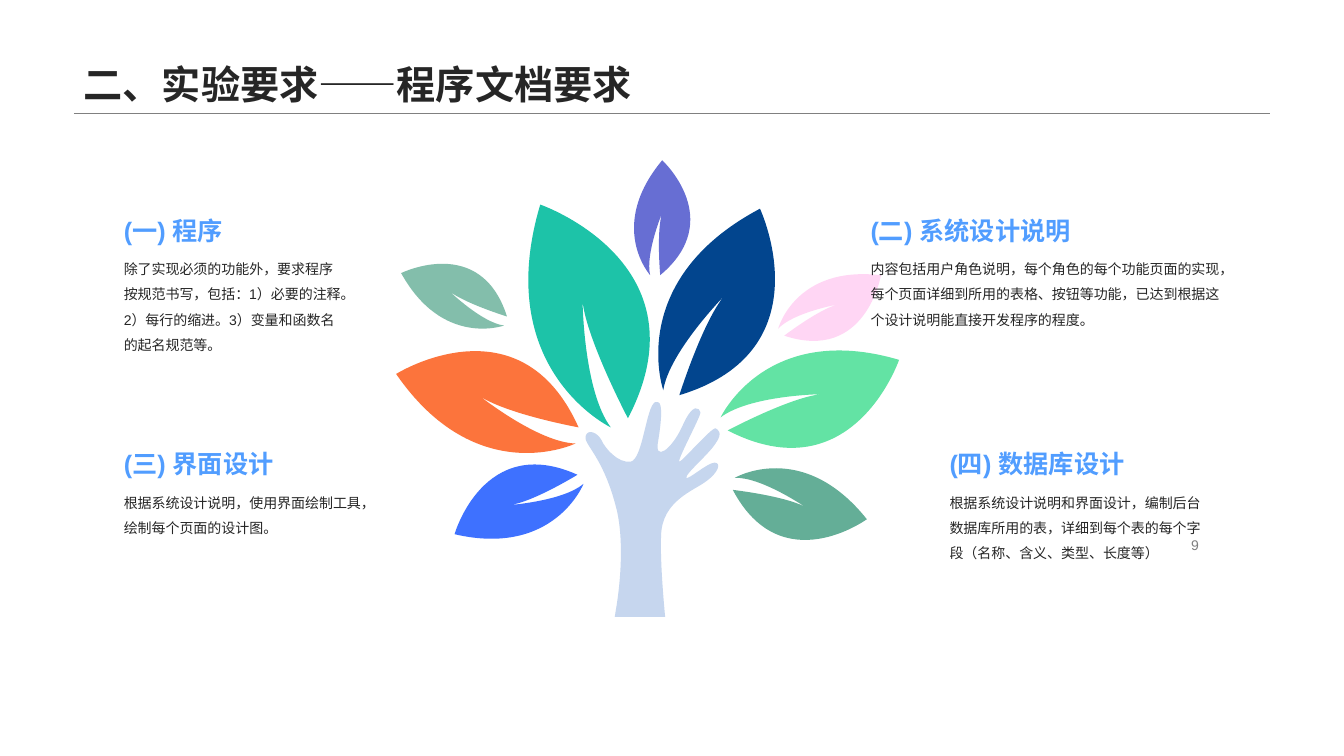
from math import cos, radians, sin

from lxml import etree
from pptx import Presentation
from pptx.dml.color import RGBColor
from pptx.enum import shapes, text
from pptx.oxml import ns
from pptx.util import Cm, Pt

INCH = 2.54
FONT = "Arial"
COLORS = {
    "ink": "262626", "gray": "808080", "head": "519DFF", "hand": "C6D6EE",
    "orange": "FC743C", "teal": "1DC3A8", "navy": "02458E", "mint": "63E3A4",
    "sage": "64AE97", "blue": "3E71FF", "violet": "676ED3", "pink": "FF33CC",
}

HAND_BOX = (5.81, 3.99, 1.33, 2.14)
HAND = [
    [(6.53, 3.99)],
    [(6.58, 4), (6.56, 4.2), (6.53, 4.38)],
    [(6.49, 4.58), (6.66, 4.47), (6.77, 4.23)],
    [(6.88, 3.98), (6.94, 4.05), (6.95, 4.09)],
    [(6.96, 4.12), (6.72, 4.56), (6.74, 4.58)],
    [(6.75, 4.6), (7.06, 4.24), (7.1, 4.25)],
    [(7.12, 4.26), (7.18, 4.29), (7.1, 4.4)],
    [(7.03, 4.51), (6.8, 4.7), (6.81, 4.74)],
    [(6.82, 4.77), (7.02, 4.59), (7.09, 4.59)],
    [(7.16, 4.59), (7.13, 4.69), (7, 4.78)],
    [(6.88, 4.87), (6.57, 4.97), (6.56, 5.31)],
    [(6.55, 5.54), (6.58, 5.91), (6.6, 6.12)],
    [(6.1, 6.12)],
    [(6.11, 6.06)],
    [(6.16, 5.77), (6.19, 5.36), (6.12, 5.06)],
    [(5.99, 4.53), (5.79, 4.41), (5.81, 4.33)],
    [(5.83, 4.25), (5.93, 4.29), (5.97, 4.37)],
    [(6, 4.44), (6.13, 4.6), (6.26, 4.58)],
    [(6.38, 4.55), (6.41, 4.04), (6.5, 3.99)],
    [(6.51, 3.99), (6.52, 3.99), (6.53, 3.99)],
]

LEAVES = [
    ("orange", 100, (3.98, 2.95, 1.88, 1.88), 31.4,
     [(5.71, 4.4), (4.73, 4.87), (3.93, 3.71), (5.16, 2.94),
      (5.74, 4.24), (5.03, 4.11), (4.76, 3.93), (5.34, 4.39)]),
    ("teal", 100, (4.8, 1.96, 2.28, 2.28), 82.7,
     [(6.06, 4.24), (4.87, 3.67), (5.36, 2.03), (7.03, 2.61),
      (6.23, 4.15), (5.82, 3.37), (5.78, 2.99), (5.79, 3.88)]),
    ("navy", 100, (6.21, 2.1, 2.01, 2.01), 128.3,
     [(6.58, 3.87), (6.2, 2.78), (7.54, 2.07), (8.2, 3.48),
      (6.74, 3.92), (6.97, 3.19), (7.19, 2.93), (6.64, 3.49)]),
    ("mint", 100, (7.15, 3.13, 1.83, 1.82), 172.4,
     [(7.15, 4.14), (7.6, 3.18), (8.92, 3.57), (8.46, 4.91),
      (7.22, 4.27), (7.84, 3.94), (8.15, 3.91), (7.44, 3.92)]),
    ("sage", 100, (7.2, 4.4, 1.36, 1.35), 207.3,
     [(7.29, 4.74), (7.96, 4.35), (8.6, 5.15), (7.75, 5.77),
      (7.27, 4.86), (7.79, 4.92), (7.99, 5.03), (7.55, 4.73)]),
    ("blue", 100, (4.45, 4.24, 1.36, 1.35), 349.2,
     [(5.79, 4.8), (5.5, 5.53), (4.51, 5.3), (4.8, 4.29),
      (5.73, 4.71), (5.29, 4.98), (5.06, 5.01), (5.59, 4.97)]),
    ("sage", 80, (4, 2.31, 1.13, 1.13), 37.4,
     [(5, 3.23), (4.39, 3.45), (3.98, 2.71), (4.77, 2.32),
      (5.03, 3.14), (4.61, 3.01), (4.46, 2.89), (4.78, 3.2)]),
    ("violet", 100, (6.06, 1.63, 1.13, 1.13), 105.9,
     [(6.45, 2.73), (6.02, 2.25), (6.57, 1.59), (7.21, 2.18),
      (6.55, 2.73), (6.51, 2.29), (6.57, 2.11), (6.4, 2.52)]),
    ("pink", 20, (7.7, 2.54, 1.13, 1.13), 162.9,
     [(7.72, 3.26), (7.89, 2.63), (8.74, 2.73), (8.59, 3.6),
      (7.78, 3.33), (8.12, 3.07), (8.31, 3.02), (7.87, 3.1)]),
]

NOTES = [
    (2.87, 4.99, 6.1, 3.89, "(一) 程序",
     "除了实现必须的功能外，要求程序按规范书写，包括：1）必要的注释。2）每行的缩进。3）变量和函数名的起名规范等。"),
    (2.87, 10.88, 6.9, 3.76, "(三) 界面设计",
     "根据系统设计说明，使用界面绘制工具，绘制每个页面的设计图。"),
    (21.69, 4.99, 9.47, 2.34, "(二) 系统设计说明",
     "内容包括用户角色说明，每个角色的每个功能页面的实现，每个页面详细到所用的表格、按钮等功能，已达到根据这个设计说明能直接开发程序的程度。"),
    (23.68, 10.88, 6.9, 3.76, "(四) 数据库设计",
     "根据系统设计说明和界面设计，编制后台数据库所用的表，详细到每个表的每个字段（名称、含义、类型、长度等）"),
]


def paint(name):
    return RGBColor.from_string(COLORS[name])


def add_text(parent, box, words, size, color, bold=False, space=1.0,
             anchor=text.MSO_ANCHOR.TOP, align=text.PP_ALIGN.LEFT):
    frame = parent.add_textbox(*(Cm(v) for v in box)).text_frame
    frame.word_wrap = True
    frame.vertical_anchor = anchor
    para = frame.paragraphs[0]
    para.text = words
    para.alignment = align
    para.line_spacing = space
    font = para.font
    font.name = FONT
    font.size = Pt(size)
    font.bold = bold
    font.color.rgb = paint(color)


def add_rule(parent, left, right, y):
    rule = parent.add_connector(shapes.MSO_CONNECTOR.STRAIGHT,
                                Cm(left), Cm(y), Cm(right), Cm(y))
    rule.line.color.rgb = paint("gray")
    rule.line.width = Pt(0.25)
    etree.SubElement(rule._element.spPr, ns.qn("a:effectLst"))


def turn(point, box, angle):
    mid_x, mid_y = box[0] + box[2] / 2, box[1] + box[3] / 2
    x, y, a = point[0] - mid_x, point[1] - mid_y, radians(angle)
    return (Cm(INCH * (mid_x + x * cos(a) + y * sin(a))),
            Cm(INCH * (mid_y - x * sin(a) + y * cos(a))))


def bend(shape, parts, box):
    outline = shape._element.spPr.find(".//" + ns.qn("a:path"))
    shift_x, shift_y = shape.left - box[0], shape.top - box[1]
    for dot in outline.iter(ns.qn("a:pt")):
        dot.set("x", str(int(dot.get("x")) + shift_x))
        dot.set("y", str(int(dot.get("y")) + shift_y))
    lines = iter(outline.findall(ns.qn("a:lnTo")))
    for part in parts:
        first, *rest = [next(lines) for _ in part]
        if rest:
            first.tag = ns.qn("a:cubicBezTo")
        for line in rest:
            first.append(line[0])
            outline.remove(line)
    shape.left, shape.top, shape.width, shape.height = box
    outline.set("w", str(box[2]))
    outline.set("h", str(box[3]))


def add_curve(parent, box, parts, color, alpha=100, angle=0):
    start, *dots = [turn(p, box, angle) for part in parts for p in part]
    pen = parent.build_freeform(*start)
    pen.add_line_segments(dots, close=True)
    shape = pen.convert_to_shape()
    bend(shape, parts[1:], [Cm(INCH * v) for v in box])
    shape.rotation = angle
    shape.shadow.inherit = False
    shape.fill.solid()
    shape.fill.fore_color.rgb = paint(color)
    shape.line.fill.background()
    if alpha < 100:
        tint = shape._element.spPr.find(".//" + ns.qn("a:srgbClr"))
        etree.SubElement(tint, ns.qn("a:alpha"), val=str(alpha * 1000))


def add_leaf(parent, color, alpha, box, angle, edge):
    ends = edge[2::2] + edge[:1]
    curves = [list(c) for c in zip(edge[::2], edge[1::2], ends)]
    add_curve(parent, box, [edge[:1]] + curves, color, alpha, angle)


def add_note(parent, left, top, width, height, head, body):
    group = parent.add_group_shape().shapes
    add_text(group, (left, top + 1.24, width, height), body, 10, "ink", space=1.5)
    add_text(group, (left, top, 6.7, 1.62), head, 18, "head", bold=True,
             anchor=text.MSO_ANCHOR.MIDDLE)


def main():
    deck = Presentation()
    deck.slide_width, deck.slide_height = Cm(33.87), Cm(19.05)
    tree = deck.slides.add_slide(deck.slide_layouts[6]).shapes
    add_rule(tree, 1.86, 32, 2.85)
    add_text(tree, (1.86, 0, 30.15, 2.85), "二、实验要求——程序文档要求", 28, "ink",
             bold=True, space=0.9, anchor=text.MSO_ANCHOR.BOTTOM)
    add_text(tree, (22.38, 13.44, 8.08, 0.58), "9", 10, "gray",
             anchor=text.MSO_ANCHOR.MIDDLE, align=text.PP_ALIGN.RIGHT)
    add_curve(tree, HAND_BOX, HAND, "hand")
    for leaf in LEAVES:
        add_leaf(tree, *leaf)
    for note in NOTES:
        add_note(tree, *note)
    deck.save("out.pptx")


if __name__ == "__main__":
    main()
